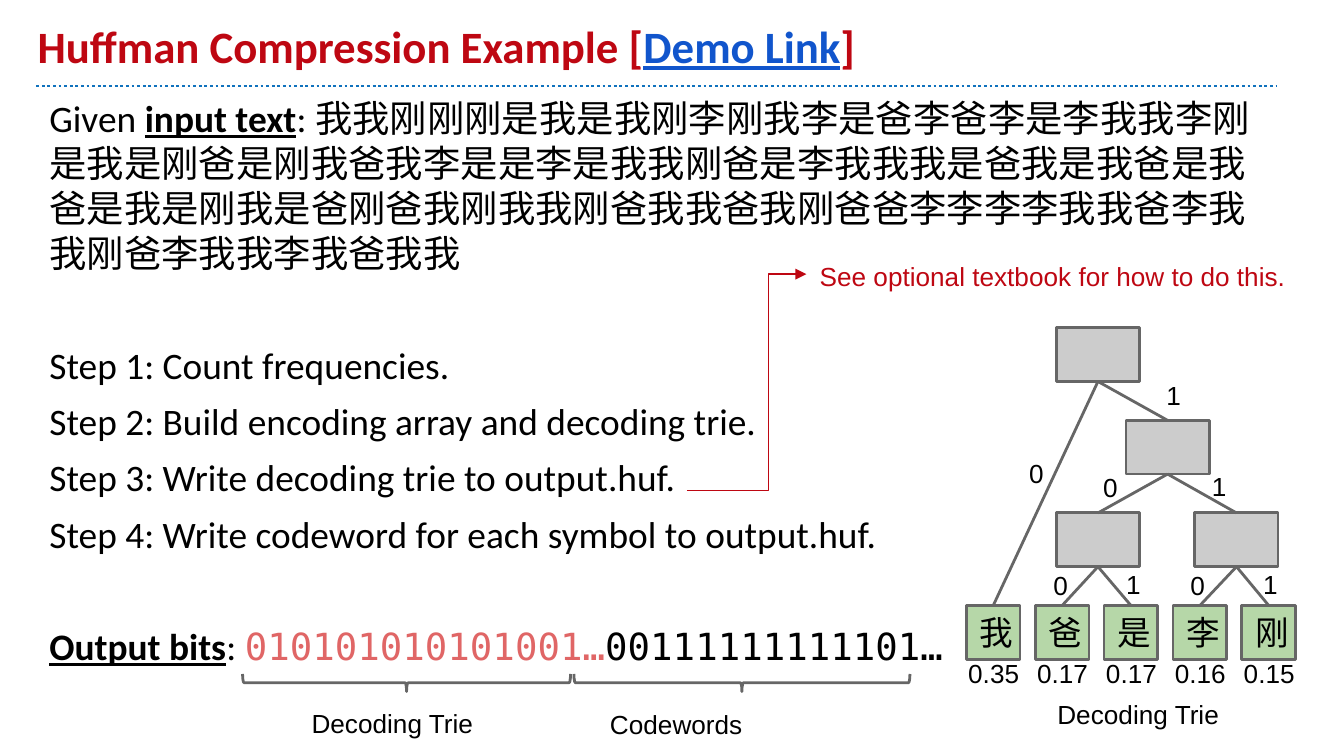
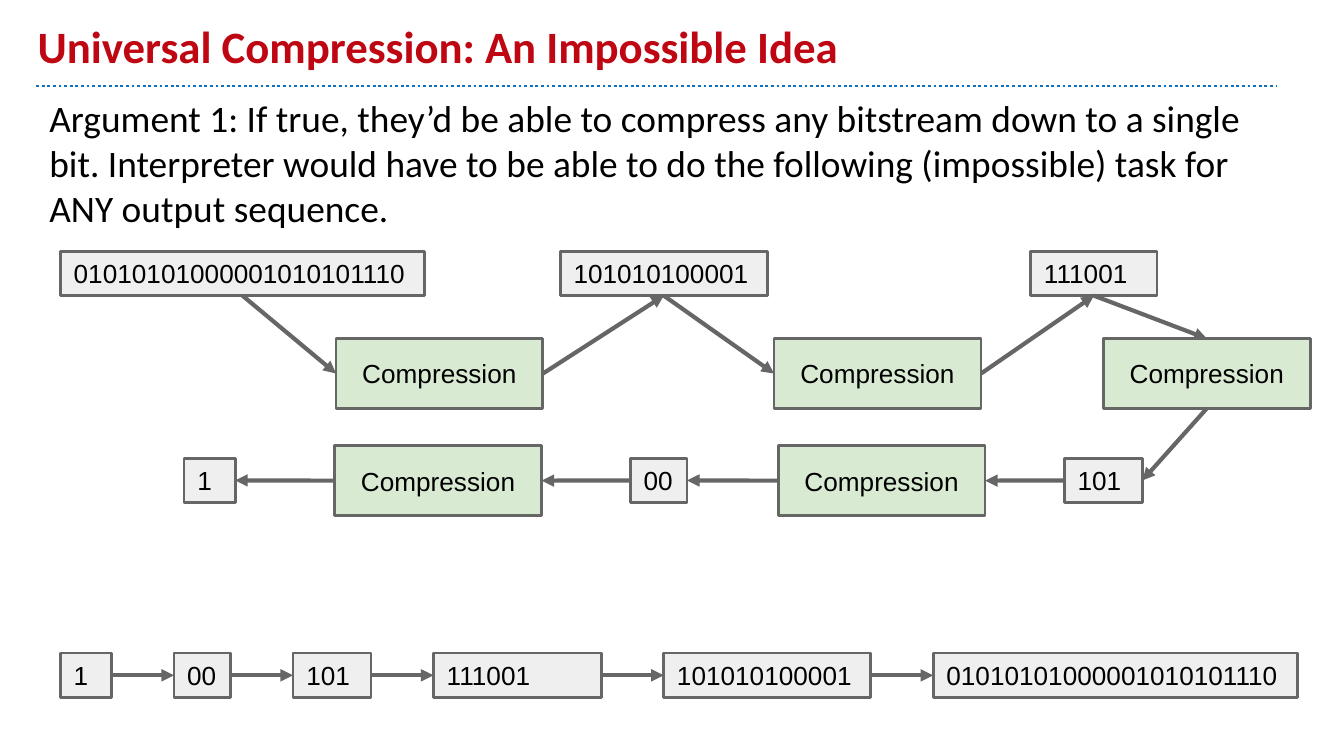
"""Build two slides: a Huffman compression example and an argument against universal compression."""
from itertools import pairwise

from lxml import etree
from pptx import Presentation
from pptx import util as u
from pptx.dml.color import RGBColor
from pptx.enum import dml, shapes, text
from pptx.oxml.ns import qn

COLORS = {"red": "BE0712", "link": "1155CC", "rule": "1072BD", "text": "000000",
          "coral": "E06666", "line": "666666", "inner": "CCCCCC", "leaf": "B6D7A8",
          "bits": "EFEFEF", "stage": "D9EAD3"}
MIDDLE = text.MSO_ANCHOR.MIDDLE
TOP, LEFT, BOTTOM, RIGHT = range(4)


def write(page, words, at, box=None, fill=None, font="Arial", size=14, color="text", bold=False,
          underline=False, align=text.PP_ALIGN.LEFT, anchor=text.MSO_ANCHOR.TOP, before=(0,)):
    """Write a string, or paragraphs of (string, overrides) spans, in a text box, rectangle or given box."""
    at = [u.Pt(length) for length in at]
    if box is not None:
        box.left, box.top, box.width, box.height = at
    elif fill:
        box = page.shapes.add_shape(shapes.MSO_SHAPE.RECTANGLE, *at)
        box.shadow.inherit = False
        box.fill.solid()
        box.fill.fore_color.rgb = RGBColor.from_string(COLORS[fill])
        box.line.color.rgb = RGBColor.from_string(COLORS["line"])
        box.line.width = u.Pt(1.5)
    else:
        box = page.shapes.add_textbox(*at)
    frame = box.text_frame
    frame.word_wrap = True
    frame.auto_size = text.MSO_AUTO_SIZE.NONE
    frame.vertical_anchor = anchor
    frame.margin_left = frame.margin_right = frame.margin_top = frame.margin_bottom = u.Pt(7.2)
    paragraphs = [[(words, {})]] if isinstance(words, str) else words
    for index, spans in enumerate(paragraphs):
        para = frame.add_paragraph() if index else frame.paragraphs[0]
        para.alignment = align
        para.space_before = u.Pt(before[index % len(before)])
        for string, changes in spans:
            style = {"font": font, "color": color, "bold": bold, "underline": underline} | changes
            span = para.add_run()
            span.text = string
            span.font.name = style["font"]
            span.font.size = u.Pt(size)
            span.font.bold = style["bold"]
            span.font.underline = style["underline"]
            span.font.color.rgb = RGBColor.from_string(COLORS[style["color"]])
    return box


def connect(page, start=(0, 0), end=(0, 0), kind=shapes.MSO_CONNECTOR.STRAIGHT,
            color="line", width=1.5, dash=None, arrow=False):
    """Draw a line between two points."""
    link = page.shapes.add_connector(kind, *[u.Pt(length) for length in (*start, *end)])
    link.line.color.rgb = RGBColor.from_string(COLORS[color])
    link.line.width = u.Pt(width)
    if dash:
        link.line.dash_style = dash
    properties = link.element.spPr
    if arrow:
        etree.SubElement(properties.find(qn("a:ln")), qn("a:tailEnd"), type="triangle")
    etree.SubElement(properties, qn("a:effectLst"))
    return link


deck = Presentation()
deck.slide_width, deck.slide_height = u.Pt(720), u.Pt(405)
layout = deck.slide_layouts[5]

emphasis = {"bold": True, "underline": True}
mono = {"font": "DejaVu Sans Mono"}
contents = [
    ([[("Huffman Compression Example [", {}),
       ("Demo Link", {"color": "link", "underline": True}), ("]", {})]],
     [[("Given ", {}), ("input text", emphasis),
       (": 我我刚刚刚是我是我刚李刚我李是爸李爸李是李我我李刚是我是刚爸是刚我爸我李是是李是我我刚爸是李我我我是爸我是我爸是我"
        "爸是我是刚我是爸刚爸我刚我我刚爸我我爸我刚爸爸李李李李我我爸李我我刚爸李我我李我爸我我", {})],
      [("Step 1: Count frequencies.", {})],
      [("Step 2: Build encoding array and decoding trie.", {})],
      [("Step 3: Write decoding trie to output.huf.", {})],
      [("Step 4: Write codeword for each symbol to output.huf.", {})],
      [("Output bits", emphasis), (": ", {}),
       ("010101010101001…", mono | {"color": "coral"}), ("00111111111101…", mono)]],
     348.5, (6, 36.4, 6, 6, 6, 36.4)),
    ("Universal Compression: An Impossible Idea",
     "Argument 1: If true, they’d be able to compress any bitstream down to a single bit. "
     "Interpreter would have to be able to do the following (impossible) task for ANY output sequence.",
     104.4, (6,)),
]
pages = []
for title, body, height, before in contents:
    page = deck.slides.add_slide(layout)
    write(page, title, (13, 7.2, 648, 38.9), box=page.shapes.title, font="Calibri", size=24,
          color="red", bold=True, anchor=text.MSO_ANCHOR.BOTTOM)
    write(page, body, (19.4, 43.9, 664.6, height), font="Calibri", size=20, before=before)
    pages.append(page)
example, argument = pages

rule = connect(example, (19.4, 46.1), (684, 46.1), color="rule", dash=dml.MSO_LINE.ROUND_DOT)
layout.shapes.element.append(rule.element)

for left, width, label, label_at in [
        (130, 175.7, "Decoding Trie", (159.8, 371.5, 128.2, 20.2)),
        (307.5, 180, "Codewords", (319.7, 372.2, 141.8, 20.2))]:
    depth, middle = 9.4, 365.8
    brace = example.shapes.add_shape(
        shapes.MSO_SHAPE.LEFT_BRACE, u.Pt(left + (width - depth) / 2), u.Pt(middle - width / 2),
        u.Pt(depth), u.Pt(width))
    brace.rotation = 270
    brace.shadow.inherit = False
    brace.fill.background()
    brace.line.color.rgb = RGBColor.from_string(COLORS["line"])
    brace.line.width = u.Pt(1.5)
    write(example, label, label_at)

trie_top, level_step, node_height = 175.6, 49.6, 28.8
nodes = {}
for index, (symbol, share) in enumerate(
        [("我", "0.35"), ("爸", "0.17"), ("是", "0.17"), ("李", "0.16"), ("刚", "0.15")]):
    center, top = 532.1 + 36.9 * index, trie_top + 3 * level_step
    nodes[symbol] = center, top
    write(example, symbol, (center - 14.4, top, 28.8, node_height), fill="leaf", size=18, anchor=MIDDLE)
    write(example, share, (center - 20.5, 346.3, 44.6, 28.8), anchor=MIDDLE)
for name, center, level in [("root", 588.2, 0), ("rest", 625.5, 1),
                            ("爸是", 588.2, 2), ("李刚", 662.4, 2)]:
    nodes[name] = center, trie_top + level * level_step
    write(example, "", (center - 22.3, nodes[name][1], 44.6, node_height), fill="inner")

for parent, child, bit, left, top in [
        ("root", "我", "0", 544.3, 237.6), ("root", "rest", "1", 617.8, 195.8),
        ("rest", "爸是", "0", 583.9, 245.5), ("rest", "李刚", "1", 642.2, 244.8),
        ("爸是", "爸", "0", 557.3, 298.1), ("爸是", "是", "1", 596.2, 297.4),
        ("李刚", "李", "0", 630.7, 298.1), ("李刚", "刚", "1", 669.6, 297.4)]:
    center, parent_top = nodes[parent]
    connect(example, (center, parent_top + node_height), nodes[child])
    write(example, bit, (left, top, 19.4, 23))
write(example, "Decoding Trie", (559.4, 367.2, 108, 23))

write(example, "See optional textbook for how to do this.", (432, 132.5, 280.1, 28.8), color="red")
pointer = connect(example, (367.9, 262.8), (432, 146.9), kind=shapes.MSO_CONNECTOR.ELBOW,
                  color="red", width=0.75, arrow=True)
bends = pointer.element.spPr.find(qn("a:prstGeom")).get_or_add_avLst()
etree.SubElement(bends, qn("a:gd"), name="adj1", fmla="val 68200")

long_bits = "01010101000001010101110"
bit_widths = {"1": 27.4, "00": 30.4, "101": 41.8, "111001": 67.7,
              "101010100001": 110.9, long_bits: 195.1}
bits_height = 23.8

chain = []
for label, left, top in [
        (long_bits, 32.4, 134.6), ("Compression", 180, 181.4),
        ("101010100001", 300.2, 134.6), ("Compression", 414.7, 181.4),
        ("111001", 552.2, 134.6), ("Compression", 591.1, 181.4),
        ("101", 570.2, 245.5), ("Compression", 416.9, 238.8),
        ("00", 337.7, 245.5), ("Compression", 179.3, 238.8), ("1", 98.6, 245.5)]:
    if label in bit_widths:
        box = write(argument, label, (left, top, bit_widths[label], bits_height),
                    fill="bits", anchor=MIDDLE)
    else:
        box = write(argument, label, (left, top, 110.9, 37.4), fill="stage",
                    align=text.PP_ALIGN.CENTER, anchor=MIDDLE)
    chain.append(box)

expansion, left = [], 32.4
for label, width in (bit_widths | {"111001": 90}).items():
    expansion.append(write(argument, label, (left, 349.9, width, bits_height),
                           fill="bits", anchor=MIDDLE))
    left += width + 33.4

chain_sides = [(BOTTOM, LEFT), (RIGHT, BOTTOM), (BOTTOM, LEFT), (RIGHT, BOTTOM),
               (BOTTOM, TOP), (BOTTOM, RIGHT)] + [(LEFT, RIGHT)] * 4
for boxes, sides in [(chain, chain_sides), (expansion, [(RIGHT, LEFT)] * 5)]:
    for (source, target), (leave, enter) in zip(pairwise(boxes), sides):
        arrow = connect(argument, width=2.25, arrow=True)
        arrow.begin_connect(source, leave)
        arrow.end_connect(target, enter)

deck.save("out.pptx")
